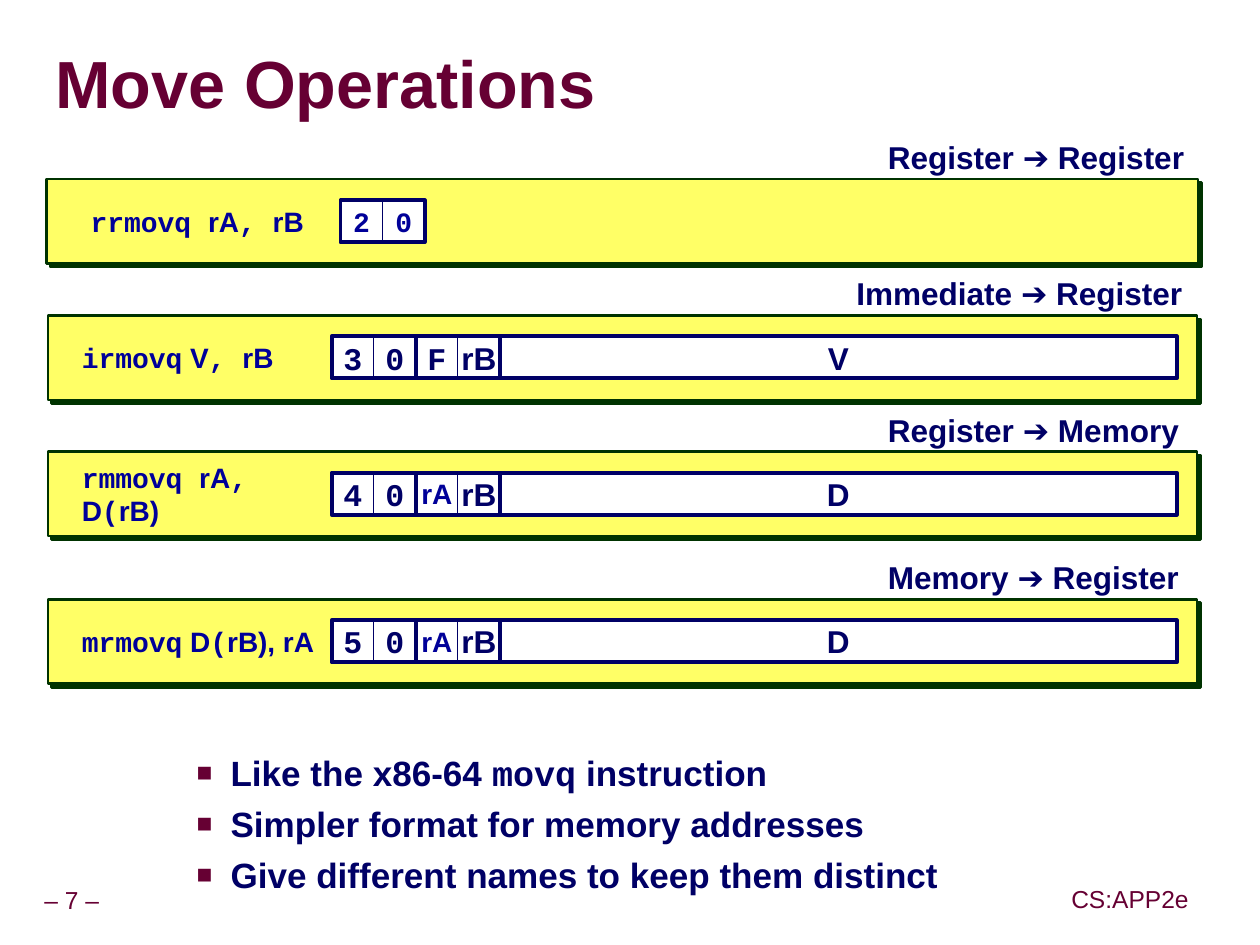
from lxml import etree
from pptx import Presentation
from pptx.dml.color import RGBColor
from pptx.enum.shapes import MSO_SHAPE
from pptx.enum.text import MSO_ANCHOR, MSO_AUTO_SIZE, PP_ALIGN
from pptx.oxml import parse_xml
from pptx.oxml.ns import nsdecls, qn
from pptx.util import Inches, Pt

MAROON = RGBColor(0x66, 0x00, 0x33)
NAVY = RGBColor(0x00, 0x00, 0x66)
BLUE = RGBColor(0x00, 0x00, 0x99)
GREEN = RGBColor(0x00, 0x33, 0x00)
YELLOW = RGBColor(0xFF, 0xFF, 0x66)
WHITE = RGBColor(0xFF, 0xFF, 0xFF)
SANS, MONO = "Arial", "Courier New"

CELL = 1 / 3  # side of a one-nibble field
RIGHT_EDGE = 9.33
SHADOW = """<a:effectLst {ns}><a:outerShdw dist="{dist}" dir="2700000" algn="ctr" rotWithShape="0">
<a:srgbClr val="{color}"/></a:outerShdw></a:effectLst>"""

# Field styles: font, size, colour
CODE = (MONO, 18, NAVY)
REGISTER = (SANS, 18, NAVY)
SMALL_CODE = (MONO, 16, BLUE)
SMALL_REGISTER = (SANS, 16, BLUE)

# heading, heading left, band (left, top, width), label left, label runs,
# fields left, nibble fields, long field
INSTRUCTIONS = [
    ("Register ➔ Register", 6.99, (0.37, 1.42, 9.13), 0.62,
     [("rrmovq ", MONO), ("rA", SANS), (", ", MONO), ("rB", SANS)],
     2.7, [("2", SMALL_CODE), ("0", SMALL_CODE)], None),
    ("Immediate ➔ Register", 6.74, (0.38, 2.5, 9.11), 0.55,
     [("irmovq", MONO), (" V", SANS), (", ", MONO), ("rB", SANS)],
     2.63, [("3", CODE), ("0", CODE), ("F", CODE), ("rB", REGISTER)], "V"),
    ("Register ➔ Memory", 6.99, (0.38, 3.58, 9.11), 0.55,
     [("rmmovq ", MONO), ("rA", SANS), (",", MONO), (" D", SANS), ("(", MONO), ("rB)", SANS)],
     2.63, [("4", CODE), ("0", CODE), ("rA", SMALL_REGISTER), ("rB", REGISTER)], "D"),
    ("Memory ➔ Register", 6.99, (0.38, 4.75, 9.11), 0.55,
     [("mrmovq", MONO), (" D", SANS), ("(", MONO), ("rB), rA", SANS)],
     2.63, [("5", CODE), ("0", CODE), ("rA", SMALL_REGISTER), ("rB", REGISTER)], "D"),
]

presentation = Presentation()
presentation.slide_width = Inches(9.99)
presentation.slide_height = Inches(7.49)
slide = presentation.slides.add_slide(presentation.slide_layouts[6])


def add_text(box, runs, size, color, bold=True, inset=None, anchor=MSO_ANCHOR.TOP,
             wrap=False, spacing=None):
    """Put one text box on the slide, its runs given as (text, font)."""
    shape = slide.shapes.add_textbox(*map(Inches, box))
    frame = shape.text_frame
    frame.word_wrap = wrap
    frame.vertical_anchor = anchor
    if inset is not None:
        frame.margin_left = frame.margin_right = Inches(inset)
        frame.margin_top = frame.margin_bottom = Inches(inset)
    paragraph = frame.paragraphs[0]
    if spacing:
        paragraph.line_spacing = spacing
    for text, font in runs:
        run = paragraph.add_run()
        run.text = text
        run.font.name, run.font.size, run.font.bold = font, Pt(size), bold
        run.font.color.rgb = color
    return frame


def add_box(left, top, width, height, line, line_width, fill=None, text="", style=CODE):
    """Put one outlined rectangle on the slide, with centred text if any."""
    shape = slide.shapes.add_shape(
        MSO_SHAPE.RECTANGLE, Inches(left), Inches(top), Inches(width), Inches(height))
    shape.shadow.inherit = False
    shape.line.color.rgb, shape.line.width = line, Pt(line_width)
    if fill is None:
        shape.fill.background()
    else:
        shape.fill.solid()
        shape.fill.fore_color.rgb = fill
    if text:
        frame = shape.text_frame
        frame.text = text
        frame.word_wrap = False
        frame.vertical_anchor = MSO_ANCHOR.MIDDLE
        frame.paragraphs[0].alignment = PP_ALIGN.CENTER
        font = frame.paragraphs[0].runs[0].font
        font.name, size, font.color.rgb = style
        font.size, font.bold = Pt(size), True
    return shape


# Footer
for box, text in [((0.24, 6.99, 0.66, 0.31), "– 7 –"), ((8.44, 6.98, 1.04, 0.31), "CS:APP2e")]:
    frame = add_text(box, [(text, SANS)], 14, MAROON, bold=False, inset=0.05,
                     anchor=MSO_ANCHOR.MIDDLE, spacing=0.9)
    frame.auto_size = MSO_AUTO_SIZE.SHAPE_TO_FIT_TEXT
    frame.paragraphs[0].alignment = PP_ALIGN.CENTER

# Title with a text shadow
title = add_text((0.44, 0.27, 9.52, 0.85), [("Move Operations", SANS)], 38, MAROON,
                 inset=0, anchor=MSO_ANCHOR.MIDDLE, wrap=True, spacing=0.87)
title_fill = title.paragraphs[0].runs[0].font.fill
title_fill.solid()
title_fill.fore_color.rgb = MAROON
run_properties = title.paragraphs[0].runs[0].font._element
run_properties.find(qn("a:solidFill")).addnext(
    parse_xml(SHADOW.format(ns=nsdecls("a"), dist=Pt(2.8), color="969696")))

# Closing points
points = [
    [("Like the x86-64 ", SANS), ("movq", MONO), (" instruction", SANS)],
    [("Simpler format for memory addresses", SANS)],
    [("Give different names to keep them distinct", SANS)],
]
frame = slide.shapes.add_textbox(Inches(0.92), Inches(5.91), Inches(8.42), Inches(1.38)).text_frame
frame.word_wrap = True
for index, runs in enumerate(points):
    paragraph = frame.paragraphs[0] if index == 0 else frame.add_paragraph()
    properties = paragraph._p.get_or_add_pPr()
    properties.set("marL", str(Inches(0.81)))
    properties.set("indent", str(Inches(-0.27)))
    color = etree.SubElement(properties, qn("a:buClr"))
    etree.SubElement(color, qn("a:srgbClr"), val=str(MAROON))
    etree.SubElement(properties, qn("a:buSzPct"), val="75000")
    etree.SubElement(properties, qn("a:buFont"), typeface=SANS)
    etree.SubElement(properties, qn("a:buChar"), char="■")
    if index:
        paragraph.space_before = Pt(5)
    for text, font in runs:
        run = paragraph.add_run()
        run.text = text
        run.font.name, run.font.size, run.font.bold = font, Pt(20), True
        run.font.color.rgb = NAVY

# Instruction bands
for heading, heading_left, band, label_left, label, left, fields, value in INSTRUCTIONS:
    band_left, band_top, band_width = band
    field_top = band_top + 1 / 6

    band_shape = add_box(band_left, band_top, band_width, 0.67, GREEN, 1.5, YELLOW)
    effects = band_shape._element.spPr.find(qn("a:effectLst"))
    effects.getparent().replace(
        effects, parse_xml(SHADOW.format(ns=nsdecls("a"), dist=Pt(2.8), color=GREEN)))

    frame = add_text((heading_left, band_top - 0.34, 9.5 - heading_left, 0.38),
                     [(heading, SANS)], 18, NAVY, inset=0.05, spacing=0.9)
    frame.auto_size = MSO_AUTO_SIZE.SHAPE_TO_FIT_TEXT
    add_text((label_left, field_top, 2.08, CELL), label, 16, BLUE, anchor=MSO_ANCHOR.MIDDLE)

    for index, (text, style) in enumerate(fields):
        add_box(left + index * CELL, field_top, CELL, CELL, NAVY, 0.5, WHITE, text, style)
    for index in range(0, len(fields), 2):
        add_box(left + index * CELL, field_top, 2 * CELL, CELL, NAVY, 2.25)
    if value:
        value_left = left + len(fields) * CELL
        add_box(value_left, field_top, RIGHT_EDGE - value_left, CELL, NAVY, 2.25, WHITE,
                value, REGISTER)

presentation.save("out.pptx")
